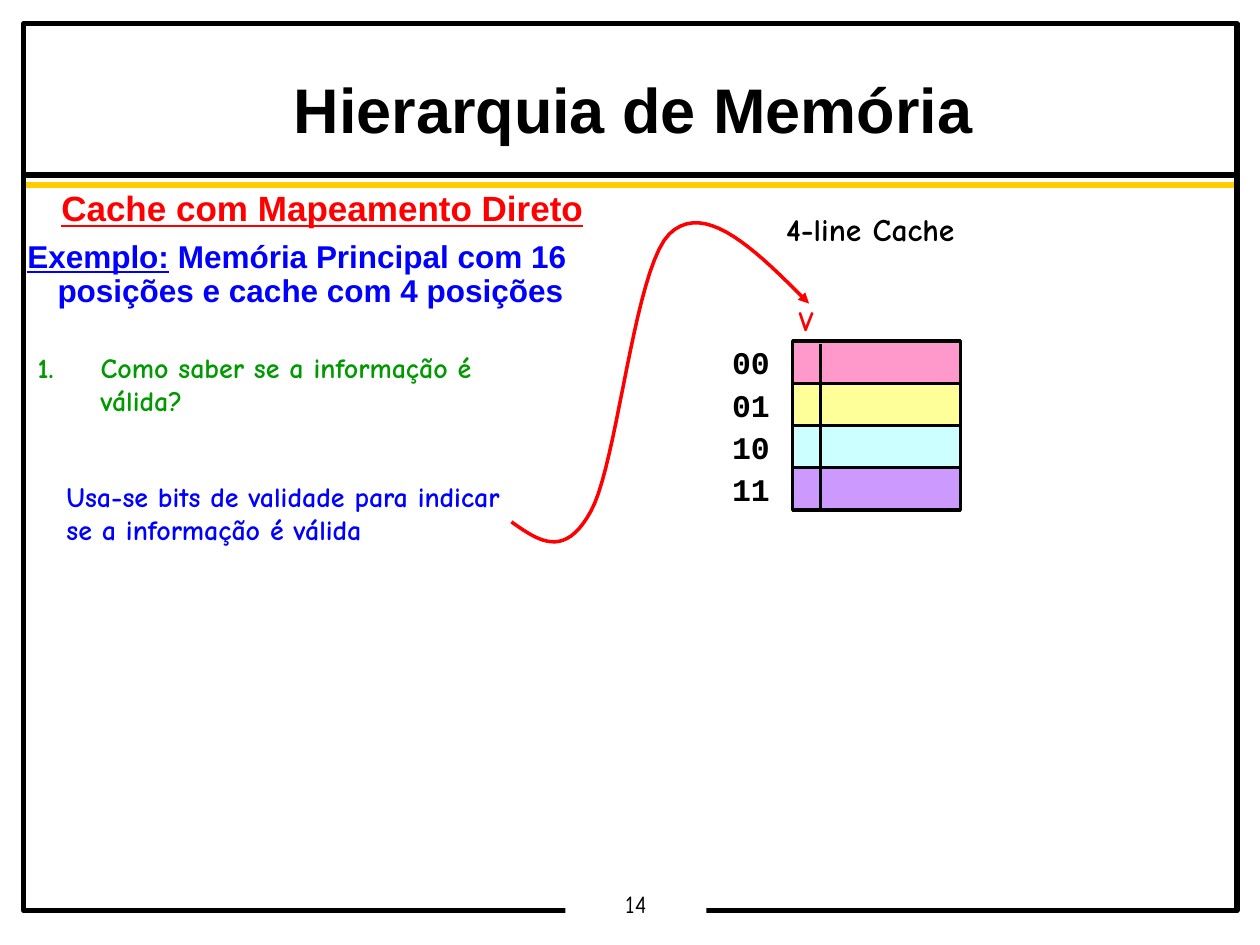
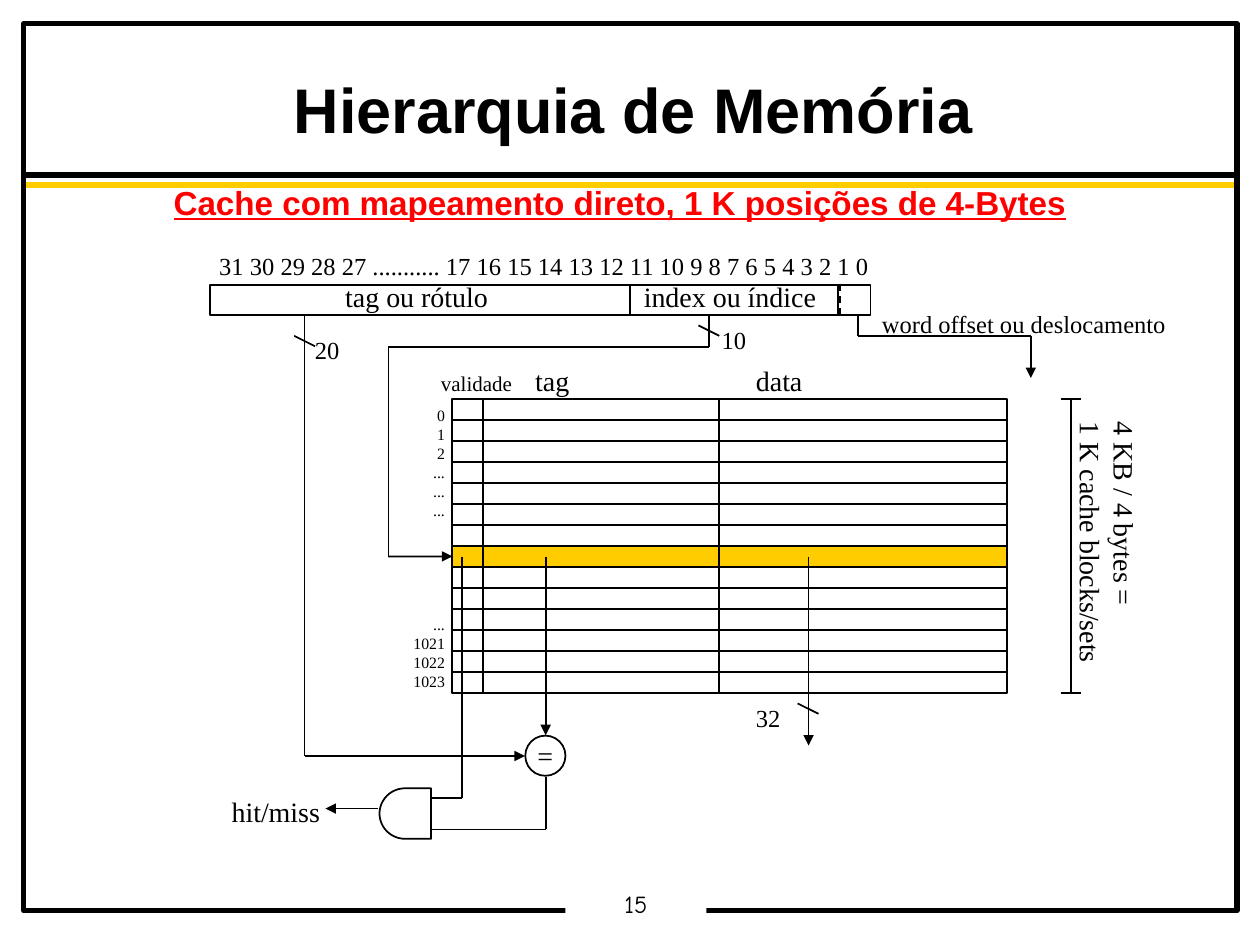
"""Build two slides on direct-mapped cache memory."""
from itertools import pairwise

from pptx import Presentation
from pptx.dml.color import RGBColor
from pptx.enum.dml import MSO_LINE
from pptx.enum.shapes import MSO_CONNECTOR, MSO_SHAPE
from pptx.enum.text import MSO_ANCHOR, MSO_AUTO_SIZE, PP_ALIGN
from pptx.oxml.ns import qn
from pptx.util import Cm, Pt
from lxml import etree

RECTANGLE, OVAL, GATE = MSO_SHAPE.RECTANGLE, MSO_SHAPE.OVAL, MSO_SHAPE.FLOWCHART_DELAY
STRAIGHT, DASH = MSO_CONNECTOR.STRAIGHT, MSO_LINE.DASH
LEFT, CENTER, RIGHT = PP_ALIGN.LEFT, PP_ALIGN.CENTER, PP_ALIGN.RIGHT
TOP, MIDDLE = MSO_ANCHOR.TOP, MSO_ANCHOR.MIDDLE
LEFT_SIDE = 1

COLORS = {
    "black": "000000", "white": "FFFFFF", "gold": "FFCC00", "red": "FF0000",
    "blue": "0000FF", "green": "009900", "pink": "FF99CC", "yellow": "FFFF99",
    "cyan": "CCFFFF", "violet": "CC99FF",
}
SANS, COMIC, MONO, SERIF = "Arial", "Comic Neue", "Courier New", "Times New Roman"

TITLE = "Hierarquia de Memória"
FRAME = (0.48, 0.48, 24.46, 17.88)
PAGE_BOX = (11.4, 17.91, 2.84, 0.69)
TITLE_BOX = (0.51, 1.45, 24.51, 1.6)
HEADER_RULES = [(3.53, "black"), (3.73, "gold")]
HANGING = 0.61

CACHE_LINES = [("00", "pink"), ("01", "yellow"), ("10", "cyan"), ("11", "violet")]
CACHE_LEFT, CACHE_TOP, CACHE_WIDTH, CACHE_ROW = 15.98, 6.88, 3.38, 0.85
INDEX_LEFT, INDEX_WIDTH, VALID_X = 14.5, 1.27, 16.54
ARROW_START = (10.31, 10.52)
ARROW_CURVES = [
    ((10.85, 10.9), (11.38, 11.28), (11.91, 10.31)),
    ((12.45, 9.35), (12.78, 5.44), (13.49, 4.72)),
    ((14.22, 4.01), (15.27, 5.08), (16.31, 6.12)),
]
CURVE_STEPS = 20

TABLE_LEFT, TABLE_RIGHT, TABLE_TOP, TABLE_BOTTOM = 9.12, 20.3, 8.04, 13.97
TABLE_ROWS, SELECTED_ROW = 14, 7
TABLE_COLUMNS = [9.73, 14.5]
ROW_LABELS_BOX = (8.08, 8.05, 1.14, 5.97)
ROW_LABELS = ["0", "1", "2", "...", "...", "...", "...", "1021", "1022", "1023"]
ROW_LABEL_PITCH, SKIPPED_LABELS, LABEL_AFTER_GAP = 10.85, 5, 6

ADDRESS_BOX = (4.24, 5.74, 13.31, 0.61)
ADDRESS_DIVIDERS = [(12.7, None), (16.89, None), (16.94, DASH)]
DIAGRAM_LABELS = [
    ("31 30 29 28 27 ........... 17 16 15 14 13 12 11 10 9 8 7 6 5 4 3 2 1 0",
     (4.17, 4.93, 13.64, 0.84), 14),
    ("tag ou rótulo", (6.71, 5.51, 3.38, 0.91), 16),
    ("index ou índice", (12.73, 5.51, 3.96, 0.91), 16),
    ("validade", (8.64, 7.34, 1.93, 0.76), 12),
    ("tag", (10.54, 7.19, 1.19, 0.91), 16),
    ("data", (14.99, 7.19, 1.45, 0.91), 16),
    ("10", (14.3, 6.43, 0.99, 0.84), 14),
    ("32", (14.99, 14.05, 0.99, 0.84), 14),
    ("20", (6.1, 6.63, 0.99, 0.84), 14),
    ("hit/miss", (4.42, 15.88, 2.29, 0.91), 16),
    ("word offset ou deslocamento", (17.53, 6.1, 6.25, 0.84), 14),
]
SIZE_NOTE = ["4 KB / 4 bytes =", "1 K cache blocks/sets"]
SIZE_NOTE_BOX = (19.66, 10.13, 5.36, 1.6)
INDEX_PATH = [(14.29, 6.35), (14.29, 6.99), (7.83, 6.99), (7.83, 11.22), (9.12, 11.22)]
ARROW_PATHS = [
    [(6.14, 6.35), (6.14, 15.24), (10.58, 15.24)],
    [(11, 11.22), (11, 14.82)],
    [(16.3, 11.22), (16.3, 15.03)],
    [(17.3, 6.35), (17.3, 6.77), (20.78, 6.77), (20.78, 7.62)],
    [(7.62, 16.3), (6.56, 16.3)],
]
PLAIN_PATHS = [
    [(11, 15.67), (11, 16.72), (8.69, 16.72)],
    [(9.31, 11.22), (9.31, 16.09), (8.69, 16.09)],
]
BUS_TICKS = [(14.08, 6.56), (16.08, 14.18), (5.93, 6.77)]
TICK_WIDTH, TICK_HEIGHT = 0.42, 0.21
BRACKET_X, BRACKET_CAP = 21.59, 0.21
COMPARATOR_BOX = (10.59, 14.83, 0.81, 0.81)
GATE_BOX = (7.65, 15.89, 1.04, 1.02)


def rgb(name):
    return RGBColor.from_string(COLORS[name])


def lengths(box):
    return [Cm(value) for value in box]


def write(paragraph, text, font=SERIF, size=16, color="black", bold=False, underline=False,
          align=LEFT, before=0, spacing=1.0, indent=None, bullet=None):
    run = paragraph.add_run()
    run.text = text
    run.font.name, run.font.size = font, Pt(size)
    run.font.bold, run.font.underline = bold, underline
    run.font.color.rgb = rgb(color)
    paragraph.alignment, paragraph.line_spacing = align, spacing
    paragraph.space_before = Pt(before)
    properties = paragraph._p.get_or_add_pPr()
    if indent is not None:
        properties.set("marL", str(Cm(indent)))
        properties.set("indent", str(-Cm(indent)))
    if bullet == "number":
        bullet_color = etree.SubElement(properties, qn("a:buClr"))
        etree.SubElement(bullet_color, qn("a:srgbClr"), val=COLORS[color])
        etree.SubElement(properties, qn("a:buAutoNum"), type="arabicPeriod")
    elif bullet == "none":
        etree.SubElement(properties, qn("a:buNone"))


def set_frame(shape, wrap=False, anchor=TOP, inset=(0.25, 0.13)):
    frame = shape.text_frame
    frame.auto_size = MSO_AUTO_SIZE.NONE
    frame.word_wrap, frame.vertical_anchor = wrap, anchor
    frame.margin_left = frame.margin_right = Cm(inset[0])
    frame.margin_top = frame.margin_bottom = Cm(inset[1])
    return frame


def add_label(slide, text, box, wrap=False, **text_format):
    shape = slide.shapes.add_textbox(*lengths(box))
    write(set_frame(shape, wrap).paragraphs[0], text, **text_format)
    return shape


def add_box(slide, box, kind=RECTANGLE, fill=None, line="black", width=1):
    shape = slide.shapes.add_shape(kind, *lengths(box))
    shape.shadow.inherit = False
    if fill:
        shape.fill.solid()
        shape.fill.fore_color.rgb = rgb(fill)
    else:
        shape.fill.background()
    if line:
        shape.line.color.rgb, shape.line.width = rgb(line), Pt(width)
    else:
        shape.line.fill.background()
    return shape


def add_arrowhead(line):
    etree.SubElement(line._get_or_add_ln(), qn("a:tailEnd"), type="triangle")


def add_path(slide, points, color="black", width=1, dash=None, arrow=False):
    for start, end in pairwise(points):
        connector = slide.shapes.add_connector(STRAIGHT, *lengths(start + end))
        connector.line.color.rgb, connector.line.width = rgb(color), Pt(width)
        if dash:
            connector.line.dash_style = dash
        etree.SubElement(connector._element.spPr, qn("a:effectLst"))
    if arrow:
        add_arrowhead(connector.line)
    return connector


def add_curve(slide, start, curves, color, width):
    points = []
    origin = start
    for controls in curves:
        anchors = (origin, *controls)
        for step in range(1, CURVE_STEPS + 1):
            t = step / CURVE_STEPS
            weights = ((1 - t) ** 3, 3 * t * (1 - t) ** 2, 3 * t * t * (1 - t), t ** 3)
            points.append(tuple(Cm(sum(weight * anchor[axis] for weight, anchor
                                       in zip(weights, anchors))) for axis in (0, 1)))
        origin = controls[-1]
    builder = slide.shapes.build_freeform(*lengths(start), scale=1.0)
    builder.add_line_segments(points, close=False)
    shape = builder.convert_to_shape()
    shape.shadow.inherit = False
    shape.fill.background()
    shape.line.color.rgb, shape.line.width = rgb(color), Pt(width)
    add_arrowhead(shape.line)


def place(placeholder, box):
    placeholder.left, placeholder.top, placeholder.width, placeholder.height = lengths(box)


def start_slide(presentation, number, body_box):
    slide = presentation.slides.add_slide(presentation.slide_layouts[1])
    for y, color in HEADER_RULES:
        add_path(slide, [(0.51, y), (24.97, y)], color, 3)
    add_box(slide, FRAME, width=3)
    page = add_box(slide, PAGE_BOX, fill="white", line=None)
    write(set_frame(page, inset=(0.18, 0.08)).paragraphs[0], str(number),
          font=COMIC, size=14, align=CENTER, spacing=0.9)
    title, body = slide.placeholders
    place(title, TITLE_BOX)
    write(set_frame(title, True, inset=(0.18, 0.08)).paragraphs[0], TITLE,
          font=SANS, size=36, bold=True, align=CENTER, spacing=0.95)
    place(body, body_box)
    return slide, set_frame(body, True)


def write_heading(frame, text, size, before):
    write(frame.paragraphs[0], text, font=SANS, size=size, color="red", bold=True,
          underline=True, align=CENTER, before=before, spacing=0.9, indent=HANGING,
          bullet="none")


def build_validity_slide(presentation):
    slide, body = start_slide(presentation, 14, (0.3, 3.73, 12.4, 13.03))
    write_heading(body, "Cache com Mapeamento Direto", 20, 7.5)
    example = body.add_paragraph()
    style = dict(font=SANS, size=18, color="blue", bold=True, before=6.8, spacing=0.9)
    write(example, "Exemplo:", underline=True, indent=HANGING, bullet="none", **style)
    write(example, " Memória Principal com 16 posições e cache com 4 posições", **style)

    for row, (index, color) in enumerate(CACHE_LINES):
        y = CACHE_TOP + row * CACHE_ROW
        add_box(slide, (CACHE_LEFT, y, CACHE_WIDTH, CACHE_ROW), fill=color, width=2)
        label = add_box(slide, (INDEX_LEFT, y, INDEX_WIDTH, CACHE_ROW), fill="white", line=None)
        write(set_frame(label, anchor=MIDDLE).paragraphs[0], index,
              font=MONO, size=18, bold=True, align=RIGHT)
    cache_bottom = CACHE_TOP + len(CACHE_LINES) * CACHE_ROW
    add_path(slide, [(VALID_X, CACHE_TOP + 0.05), (VALID_X, cache_bottom + 0.03)], width=2)

    note = dict(font=COMIC, size=16, bold=True, before=10)
    add_label(slide, "4-line Cache", (15.6, 4.11, 3.89, 1.02), font=COMIC, size=18,
              bold=True, align=CENTER)
    add_label(slide, "Usa-se bits de validade para indicar se a informação é válida",
              (1.09, 9.53, 9.4, 1.63), wrap=True, color="blue", **note)
    add_label(slide, "Como saber se a informação é válida?", (0.51, 6.93, 10.59, 1.63),
              wrap=True, color="green", indent=1.27, bullet="number", **note)
    add_label(slide, "V", (15.85, 5.99, 0.81, 0.94), color="red", **note)
    add_curve(slide, ARROW_START, ARROW_CURVES, "red", 2)


def add_cache_table(slide):
    width, height = TABLE_RIGHT - TABLE_LEFT, TABLE_BOTTOM - TABLE_TOP
    row_height = height / TABLE_ROWS
    selected = add_box(slide, (TABLE_LEFT, TABLE_TOP + SELECTED_ROW * row_height,
                               width, row_height), fill="gold")
    add_box(slide, (TABLE_LEFT, TABLE_TOP, width, height))
    for row in range(1, TABLE_ROWS):
        y = TABLE_TOP + row * row_height
        add_path(slide, [(TABLE_LEFT, y), (TABLE_RIGHT, y)])
    for x in TABLE_COLUMNS:
        add_path(slide, [(x, TABLE_TOP), (x, TABLE_BOTTOM)])

    frame = set_frame(slide.shapes.add_textbox(*lengths(ROW_LABELS_BOX)))
    for position, text in enumerate(ROW_LABELS):
        paragraph = frame.add_paragraph() if position else frame.paragraphs[0]
        gap = SKIPPED_LABELS * ROW_LABEL_PITCH if position == LABEL_AFTER_GAP else 0
        write(paragraph, text, size=9, align=RIGHT, before=gap, spacing=Pt(ROW_LABEL_PITCH))
    return selected


def build_lookup_slide(presentation):
    slide, body = start_slide(presentation, 15, (1.7, 3.63, 21.59, 1.47))
    write_heading(body, "Cache com mapeamento direto, 1 K posições de 4-Bytes", 19, 7.1)
    selected = add_cache_table(slide)

    add_box(slide, ADDRESS_BOX)
    for x, dash in ADDRESS_DIVIDERS:
        add_path(slide, [(x, 5.72), (x, 6.35)], dash=dash)
    for text, box, size in DIAGRAM_LABELS:
        add_label(slide, text, box, size=size)

    size_note = add_label(slide, SIZE_NOTE[0], SIZE_NOTE_BOX)
    write(size_note.text_frame.add_paragraph(), SIZE_NOTE[1])
    size_note.rotation = 90
    add_path(slide, [(BRACKET_X, TABLE_TOP), (BRACKET_X, TABLE_BOTTOM)])
    for y in (TABLE_TOP, TABLE_BOTTOM):
        add_path(slide, [(BRACKET_X - BRACKET_CAP, y), (BRACKET_X + BRACKET_CAP, y)])

    comparator = add_box(slide, COMPARATOR_BOX, OVAL)
    write(set_frame(comparator, anchor=MIDDLE).paragraphs[0], "=", align=CENTER)
    add_box(slide, GATE_BOX, GATE).rotation = 180
    add_path(slide, INDEX_PATH, arrow=True).end_connect(selected, LEFT_SIDE)
    for points in ARROW_PATHS:
        add_path(slide, points, arrow=True)
    for points in PLAIN_PATHS:
        add_path(slide, points)
    for x, y in BUS_TICKS:
        add_path(slide, [(x, y), (x + TICK_WIDTH, y + TICK_HEIGHT)])


def main():
    presentation = Presentation()
    presentation.slide_width, presentation.slide_height = Cm(25.4), Cm(19.05)
    build_validity_slide(presentation)
    build_lookup_slide(presentation)
    presentation.save("out.pptx")


if __name__ == "__main__":
    main()
